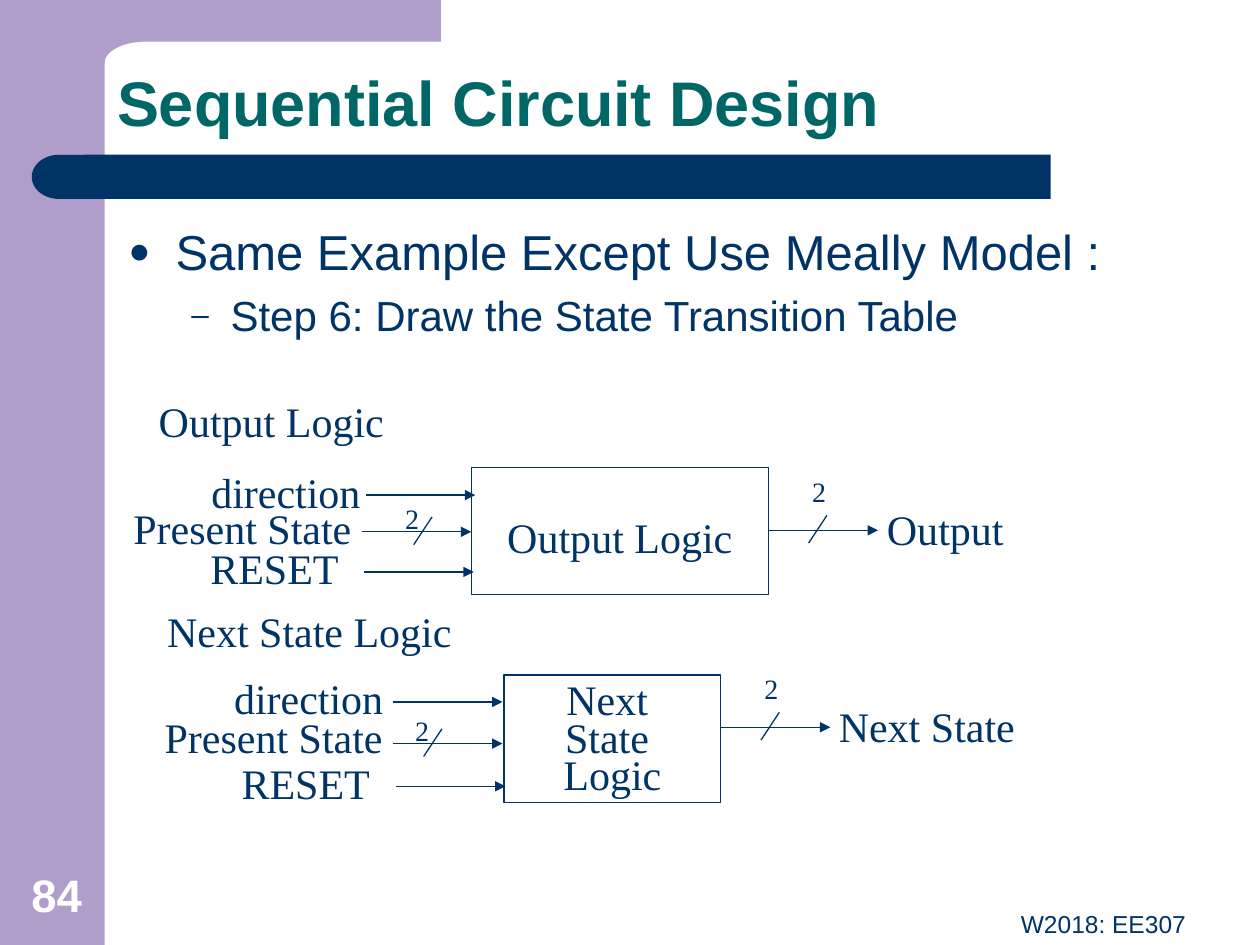
import math
from dataclasses import dataclass

from lxml import etree
from pptx import Presentation
from pptx.dml.color import RGBColor
from pptx.enum.shapes import MSO_CONNECTOR, MSO_SHAPE
from pptx.enum.text import MSO_ANCHOR, PP_ALIGN
from pptx.oxml.ns import qn
from pptx.util import Cm, Pt

RECT, DELAY = MSO_SHAPE.RECTANGLE, MSO_SHAPE.FLOWCHART_DELAY
STRAIGHT = MSO_CONNECTOR.STRAIGHT
LEFT, CENTER, RIGHT = PP_ALIGN.LEFT, PP_ALIGN.CENTER, PP_ALIGN.RIGHT
TOP, BOTTOM = MSO_ANCHOR.TOP, MSO_ANCHOR.BOTTOM


@dataclass(frozen=True)
class Theme:
    navy: str = "003366"
    teal: str = "006666"
    lilac: str = "B09DC9"
    white: str = "FFFFFF"
    sans: str = "Arial"
    serif: str = "Times New Roman"
    title: int = 36
    topic: int = 28
    number: int = 26
    body: int = 24
    bus: int = 16
    footer: int = 14
    line: float = 0.75


class Deck:
    def __init__(self, theme):
        self.theme = theme
        self.file = Presentation()
        self.file.slide_width, self.file.slide_height = Cm(25.4), Cm(19.05)
        self.slide = self.file.slides.add_slide(self.file.slide_layouts[6])

    def fill(self, shape, color):
        shape.shadow.inherit = False
        shape.fill.solid()
        shape.fill.fore_color.rgb = RGBColor.from_string(color)
        shape.line.fill.background()

    def panel(self, kind, box, color):
        shape = self.slide.shapes.add_shape(kind, *map(Cm, box))
        self.fill(shape, color)
        return shape

    def outline(self, points, color):
        start, *rest = [(Cm(x), Cm(y)) for x, y in points]
        builder = self.slide.shapes.build_freeform(*start)
        builder.add_line_segments(rest, close=True)
        self.fill(builder.convert_to_shape(), color)

    def add_words(self, paragraph, words, size, font, color=None, bold=False):
        run = paragraph.add_run()
        run.text = words
        run.font.size, run.font.name, run.font.bold = Pt(size), font, bold
        run.font.color.rgb = RGBColor.from_string(color or self.theme.navy)

    def text(self, box, words, size, font, color=None, bold=False,
             align=LEFT, anchor=TOP, spacing=None):
        frame = self.slide.shapes.add_textbox(*map(Cm, box)).text_frame
        frame.word_wrap, frame.vertical_anchor = True, anchor
        paragraph = frame.paragraphs[0]
        paragraph.alignment, paragraph.line_spacing = align, spacing
        self.add_words(paragraph, words, size, font, color, bold)

    def label(self, words, x, y, width):
        self.text((x, y, width, 1.27), words, self.theme.body, self.theme.serif)

    def bullets(self, box, items):
        frame = self.slide.shapes.add_textbox(*map(Cm, box)).text_frame
        frame.word_wrap = True
        for index, (words, size, mark, margin, hang) in enumerate(items):
            paragraph = frame.add_paragraph() if index else frame.paragraphs[0]
            props = paragraph._p.get_or_add_pPr()
            props.set("marL", str(Cm(margin)))
            props.set("indent", str(-Cm(hang)))
            tint = etree.SubElement(props, qn("a:buClr"))
            etree.SubElement(tint, qn("a:srgbClr"), val=self.theme.navy)
            etree.SubElement(props, qn("a:buSzPct"), val="75000")
            etree.SubElement(props, qn("a:buFont"), typeface=self.theme.sans)
            etree.SubElement(props, qn("a:buChar"), char=mark)
            if index:
                paragraph.level = index
                paragraph.space_before = Pt(5)
            self.add_words(paragraph, words, size, self.theme.sans)

    def logic_box(self, box, lines, inset):
        shape = self.slide.shapes.add_shape(RECT, *map(Cm, box))
        shape.shadow.inherit = False
        shape.fill.background()
        shape.line.color.rgb = RGBColor.from_string(self.theme.navy)
        shape.line.width = Pt(self.theme.line)
        frame = shape.text_frame
        frame.word_wrap, frame.vertical_anchor = True, TOP
        frame.margin_top = Cm(inset)
        for index, words in enumerate(lines):
            paragraph = frame.add_paragraph() if index else frame.paragraphs[0]
            paragraph.alignment, paragraph.line_spacing = CENTER, 0.75
            self.add_words(paragraph, words, self.theme.body, self.theme.serif)

    def line(self, x, y, dx, dy, arrow=False):
        wire = self.slide.shapes.add_connector(
            STRAIGHT, Cm(x), Cm(y), Cm(x + dx), Cm(y + dy))
        wire.line.color.rgb = RGBColor.from_string(self.theme.navy)
        wire.line.width = Pt(self.theme.line)
        if arrow:
            etree.SubElement(wire.line._get_or_add_ln(), qn("a:tailEnd"), type="triangle")
        etree.SubElement(wire._element.spPr, qn("a:effectLst"))

    def signal(self, x, y):
        self.line(x, y, 2.21, 0, arrow=True)

    def bus(self, x, y, slash, digit_dx, digit_dy):
        self.signal(x, y)
        x, y = x + slash, y - 0.3
        self.line(x, y, -0.37, 0.56)
        self.text((x - digit_dx, y - digit_dy, 0.76, 0.94), "2",
                  self.theme.bus, self.theme.serif)


def frame_slide(deck):
    theme = deck.theme
    deck.panel(RECT, (0, 0, 2.11, 19.05), theme.lilac)
    angles = [math.radians(90 * step / 16) for step in range(17)]
    curve = [(2.94 - 0.83 * math.sin(a), 1.27 - 0.43 * math.cos(a)) for a in angles]
    deck.outline([(8.89, 0), (8.89, 0.84), *curve, (1.27, 1.27), (1.27, 0)], theme.lilac)
    deck.panel(RECT, (1.7, 3.12, 19.48, 0.89), theme.navy)
    deck.panel(DELAY, (0.64, 3.12, 1.09, 0.89), theme.navy).rotation = 180
    deck.text((2.11, 0.84, 22.02, 2.11), "Sequential Circuit Design", theme.title,
              theme.sans, theme.teal, bold=True, anchor=BOTTOM, spacing=0.9)
    deck.bullets((2.34, 4.34, 21.36, 12.57), [
        ("Same Example Except Use Meally Model :", theme.topic, "●", 0.95, 0.95),
        ("Step 6: Draw the State Transition Table", theme.body, "–", 2.06, 0.79),
    ])
    deck.text((0, 17.35, 2.29, 1.35), "84", theme.number, theme.sans, theme.white,
              bold=True, align=CENTER, anchor=BOTTOM)
    deck.text((8.69, 18.21, 15.47, 1.32), "W2018: EE307", theme.footer, theme.sans,
              align=RIGHT)


def draw_diagrams(deck):
    deck.logic_box((10.16, 13.61, 4.37, 2.57), ["Next ", "State ", "Logic"], 0.2)
    deck.logic_box((9.5, 9.42, 5.99, 2.57), ["Output Logic"], 1.13)

    for x, y in [(7.92, 14.15), (7.98, 15.85), (7.37, 9.98), (7.34, 11.53)]:
        deck.signal(x, y)
    for x, y, slash in [(7.92, 14.99, 0.99), (7.29, 10.72, 1.42)]:
        deck.bus(x, y, slash, 0.79, 0.44)
    for x, y in [(14.53, 14.66), (15.49, 10.69)]:
        deck.bus(x, y, 1.18, 0.55, 0.94)

    for words, x, y, width in [
        ("Output Logic", 2.95, 7.85, 5.08),
        ("direction", 4.01, 9.27, 4.27),
        ("Present State", 2.44, 10.01, 6.3),
        ("RESET", 3.99, 10.82, 4.27),
        ("Output", 17.63, 10.03, 4.7),
        ("Next State Logic", 3.12, 12.09, 6.3),
        ("direction", 4.47, 13.44, 4.39),
        ("Present State", 3.07, 14.22, 6.3),
        ("RESET", 4.62, 15.14, 4.27),
        ("Next State", 16.66, 14, 4.7),
    ]:
        deck.label(words, x, y, width)


def main():
    deck = Deck(Theme())
    frame_slide(deck)
    draw_diagrams(deck)
    deck.file.save("out.pptx")


if __name__ == "__main__":
    main()
